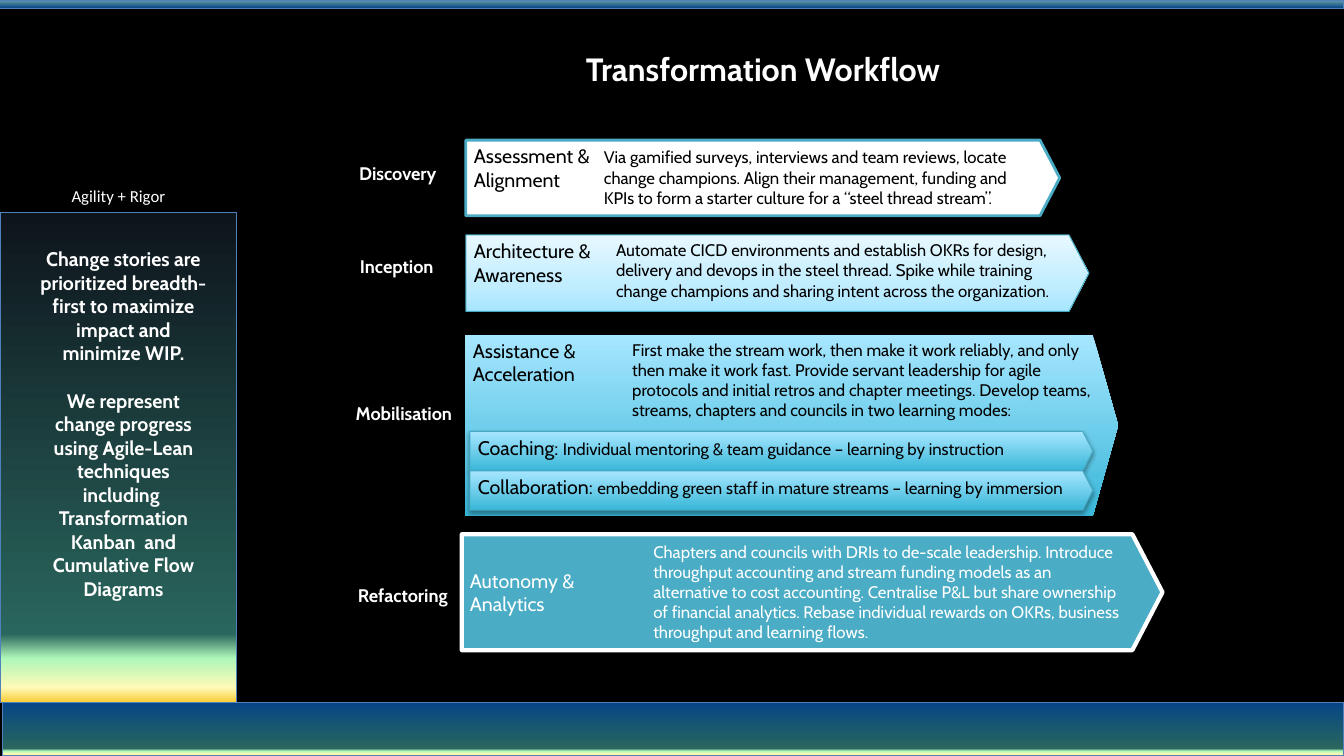
"""Build the Transformation Workflow slide."""
from dataclasses import dataclass

from lxml import etree
from pptx import Presentation
from pptx import util as u
from pptx.dml.color import RGBColor
from pptx.enum import shapes, text
from pptx.oxml import ns

BLACK = RGBColor(0x00, 0x00, 0x00)
WHITE = RGBColor(0xFF, 0xFF, 0xFF)
TEAL = RGBColor(0x4B, 0xAC, 0xC6)
EDGE = RGBColor(0x46, 0xAA, 0xC5)
BAR_EDGE = RGBColor(0x4F, 0x81, 0xBD)
NAVY = RGBColor(0x06, 0x45, 0x86)
NIGHT = RGBColor(0x0E, 0x14, 0x1C)
AQUA = RGBColor(0x39, 0xB7, 0xD8)
SKY = RGBColor(0xA7, 0xE6, 0xFF)
MIST = RGBColor(0xC1, 0xED, 0xFF)
ICE = RGBColor(0xE7, 0xF8, 0xFF)
FOREST = RGBColor(0x29, 0x66, 0x5D)
MINT = RGBColor(0xAF, 0xF7, 0xB9)
CREAM = RGBColor(0xFE, 0xFA, 0xB6)
GOLD = RGBColor(0xFA, 0xCB, 0x33)

Box = tuple[float, float, float, float]
Stops = list[tuple[int, RGBColor]]

HORIZON: Stops = [(86, FOREST), (91, MINT), (97, CREAM), (100, GOLD)]
TOP_BAR: Stops = [(0, RGBColor(0x18, 0x4F, 0x7B)), (3, RGBColor(0x24, 0x76, 0xB9)),
                  (9, RGBColor(0x4A, 0x9B, 0xDC)), (14, RGBColor(0x5A, 0x93, 0xA3)),
                  (100, NAVY)]
PALE: Stops = [(0, ICE), (65, MIST), (100, SKY)]
AQUA_FADE: Stops = [(0, SKY), (100, AQUA)]

CAPTION_BOX: Box = (0, 1.81, 2.35, 0.27)
TITLE_BOX: Box = (3.54, 0.42, 8.06, 0.58)
PANEL_TEXT_BOX: Box = (0.29, 2.41, 1.87, 3.62)
STEP_LEFT, STEP_TOP, STEP_WIDTH, STEP_HEIGHT = 4.66, 4.28, 6.18, 0.39


@dataclass
class Span:
    text: str
    size: float
    bold: bool = False
    color: RGBColor = BLACK
    font: str = "Cabin"


@dataclass
class Band:
    box: Box
    fill: Stops


@dataclass
class Stage:
    label: str
    label_box: Box
    heading: tuple[str, str]
    arrow_box: Box
    detail: str
    detail_box: Box
    fill: RGBColor | Stops
    line: RGBColor | None = None
    line_width: float = 0.75
    tip: float = 0.26
    shadow: bool = True
    color: RGBColor = BLACK
    anchor: text.MSO_ANCHOR = text.MSO_ANCHOR.TOP


BANDS = [
    Band((0, 0, 13.33, 0.08), TOP_BAR),
    Band((0.02, 6.97, 13.31, 0.53), [(0, NAVY), *HORIZON]),
    Band((0, 2.11, 2.35, 4.86), [(0, NIGHT), *HORIZON]),
]

PANEL_TEXT = [
    "Change stories are prioritized breadth-first to maximize impact and minimize WIP.",
    "We represent\vchange progress using Agile-Lean techniques including \v"
    "Transformation Kanban  and Cumulative Flow Diagrams",
]

STAGES = [
    Stage("Discovery", (3.4, 1.57, 1.09, 0.3), ("Assessment &", "Alignment"),
          (4.62, 1.39, 5.89, 0.75),
          "Via gamified surveys, interviews and team reviews, locate change champions. "
          "Align their management, funding and KPIs to form a starter culture for a "
          "“steel thread stream”.",
          (5.91, 1.42, 4.5, 0.69), WHITE, TEAL, 2, shadow=False),
    Stage("Inception", (3.4, 2.49, 1.07, 0.3), ("Architecture &", "Awareness"),
          (4.62, 2.33, 6.18, 0.76),
          "Automate CICD environments and establish OKRs for design, delivery and devops "
          "in the steel thread. Spike while training change champions and sharing intent "
          "across the organization.",
          (6.03, 2.34, 4.71, 0.69), PALE, EDGE),
    Stage("Mobilisation", (3.4, 3.95, 1.21, 0.3), ("Assistance &", "Acceleration"),
          (4.61, 3.32, 6.48, 1.8),
          "First make the stream work, then make it work reliably, and only then make it "
          "work fast. Provide servant leadership for agile protocols and initial retros "
          "and chapter meetings. Develop teams, streams, chapters and councils in two "
          "learning modes:",
          (6.19, 3.33, 4.75, 0.89), AQUA_FADE, tip=0.14),
    Stage("Refactoring", (3.41, 5.76, 1.17, 0.3), ("Autonomy &", "Analytics"),
          (4.58, 5.3, 6.95, 1.15),
          "Chapters and councils with DRIs to de-scale leadership. Introduce throughput "
          "accounting and stream funding models as an alternative to cost accounting. "
          "Centralise P&L but share ownership of financial analytics. Rebase individual "
          "rewards on OKRs, business throughput and learning flows.",
          (6.4, 5.33, 4.87, 1.3), TEAL, WHITE, 3, color=WHITE,
          anchor=text.MSO_ANCHOR.MIDDLE),
]

STEPS = [
    ("Coaching: ", "Individual mentoring & team guidance – learning by instruction"),
    ("Collaboration: ", "embedding green staff in mature streams – learning by immersion"),
]


def inches(box: Box) -> list[u.Length]:
    """Convert a box to lengths."""
    return [u.Inches(value) for value in box]


def write(shape, paras: list[list[Span]], align=text.PP_ALIGN.LEFT,
          anchor=text.MSO_ANCHOR.TOP, gap: float = 0) -> None:
    """Fill a shape's frame run by run."""
    frame = shape.text_frame
    frame.word_wrap = True
    frame.vertical_anchor = anchor
    frame.margin_left = frame.margin_right = u.Inches(0.08)
    frame.margin_top = frame.margin_bottom = u.Inches(0.04)
    for index, spans in enumerate(paras):
        para = frame.add_paragraph() if index else frame.paragraphs[0]
        para.alignment = align
        if index and gap:
            para.space_before = u.Pt(gap)
        for span in spans:
            for part_index, part in enumerate(span.text.split("\v")):
                if part_index:
                    para.add_line_break()
                run = para.add_run()
                run.text = part
                run.font.name = span.font
                run.font.size = u.Pt(span.size)
                run.font.bold = span.bold
                run.font.color.rgb = span.color


def paint(shape, fill: RGBColor | Stops, line: RGBColor | None, width: float = 0.75) -> None:
    """Set a solid or top-to-bottom gradient fill and the outline."""
    shape.shadow.inherit = False
    if isinstance(fill, RGBColor):
        shape.fill.solid()
        shape.fill.fore_color.rgb = fill
    else:
        shape.fill.gradient()
        shape.fill.gradient_angle = 270
        stops = shape._element.spPr.find(".//" + ns.qn("a:gsLst"))
        for stop in list(stops):
            stops.remove(stop)
        for position, color in fill:
            stop = etree.SubElement(stops, ns.qn("a:gs"), pos=str(position * 1000))
            etree.SubElement(stop, ns.qn("a:srgbClr"), val=str(color))
    if line is None:
        shape.line.fill.background()
    else:
        shape.line.color.rgb = line
        shape.line.width = u.Pt(width)


def add_arrow(page, box: Box, tip: float, shadow: bool = True):
    """Add a pentagon arrow, with a soft shadow below if wanted."""
    arrow = page.shapes.add_shape(shapes.MSO_SHAPE.PENTAGON, *inches(box))
    arrow.adjustments[0] = tip
    arrow.shadow.inherit = False
    if shadow:
        effects = arrow._element.spPr.find(ns.qn("a:effectLst"))
        outer = etree.SubElement(effects, ns.qn("a:outerShdw"), blurRad=str(u.Pt(3.1)),
                                 dist=str(u.Pt(1.6)), dir="5400000", rotWithShape="0")
        color = etree.SubElement(outer, ns.qn("a:srgbClr"), val=str(BLACK))
        etree.SubElement(color, ns.qn("a:alpha"), val="36000")
    return arrow


def paint_arrow(arrow, fill: RGBColor | Stops, line: RGBColor | None, width: float) -> None:
    """Paint an arrow while keeping its shadow."""
    effects = arrow._element.spPr.find(ns.qn("a:effectLst"))
    shadows = list(effects)
    paint(arrow, fill, line, width)
    arrow._element.spPr.find(ns.qn("a:effectLst")).extend(shadows)


def add_stage(page, stage: Stage) -> None:
    """Draw one stage: label, arrow and detail."""
    label = page.shapes.add_textbox(*inches(stage.label_box))
    write(label, [[Span(stage.label, 13, True, WHITE)]], text.PP_ALIGN.CENTER)
    arrow = add_arrow(page, stage.arrow_box, stage.tip, stage.shadow)
    paint_arrow(arrow, stage.fill, stage.line, stage.line_width)
    write(arrow, [[Span(words, 14, color=stage.color)] for words in stage.heading],
          anchor=stage.anchor)
    detail = page.shapes.add_textbox(*inches(stage.detail_box))
    write(detail, [[Span(stage.detail, 12, color=stage.color)]])


def main() -> None:
    """Build and save the deck."""
    deck = Presentation()
    deck.slide_width, deck.slide_height = u.Inches(13.33), u.Inches(7.5)
    page = deck.slides.add_slide(deck.slide_layouts[5])
    page.background.fill.solid()
    page.background.fill.fore_color.rgb = BLACK

    title = page.shapes.title
    title.left, title.top, title.width, title.height = inches(TITLE_BOX)
    write(title, [[Span("Transformation Workflow", 23, True, WHITE)]],
          text.PP_ALIGN.CENTER, text.MSO_ANCHOR.MIDDLE)
    title.text_frame.paragraphs[0].line_spacing = 0.9

    caption = page.shapes.add_shape(shapes.MSO_SHAPE.RECTANGLE, *inches(CAPTION_BOX))
    paint(caption, BLACK, None)
    write(caption, [[Span("Agility + Rigor", 12, color=WHITE, font="Calibri")]],
          text.PP_ALIGN.CENTER, text.MSO_ANCHOR.MIDDLE)
    for band in BANDS:
        bar = page.shapes.add_shape(shapes.MSO_SHAPE.RECTANGLE, *inches(band.box))
        paint(bar, band.fill, BAR_EDGE)
    panel = page.shapes.add_textbox(*inches(PANEL_TEXT_BOX))
    write(panel, [[Span(words, 14, True, WHITE)] for words in PANEL_TEXT],
          text.PP_ALIGN.CENTER, gap=17)

    for stage in STAGES:
        add_stage(page, stage)
    for index, (name, meaning) in enumerate(STEPS):
        top = STEP_TOP + index * STEP_HEIGHT
        step = add_arrow(page, (STEP_LEFT, top, STEP_WIDTH, STEP_HEIGHT), 0.26)
        paint_arrow(step, AQUA_FADE, EDGE, 0.75)
        write(step, [[Span(name, 14), Span(meaning, 12)]])
    deck.save("out.pptx")


if __name__ == "__main__":
    main()
